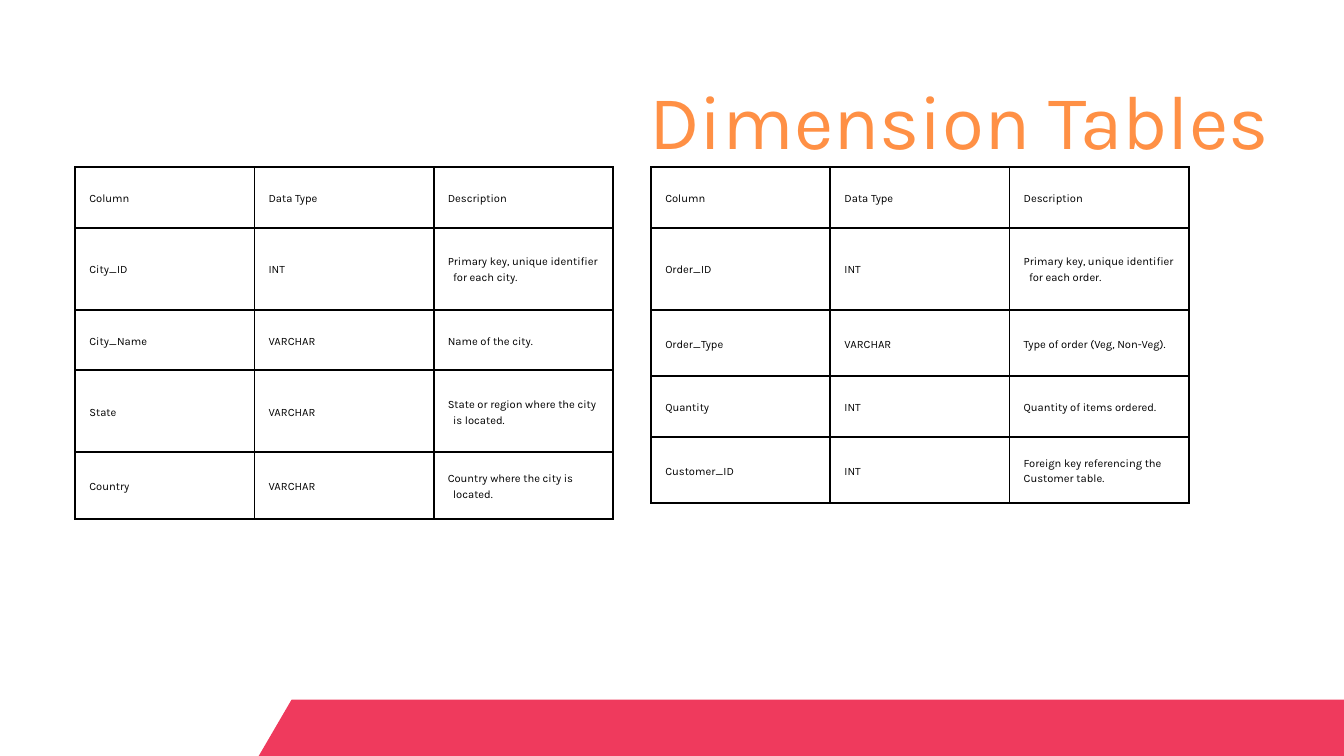
from lxml.etree import SubElement
from pptx import Presentation
from pptx.dml.color import RGBColor
from pptx.enum.text import MSO_ANCHOR as Anchor, PP_ALIGN as Align
from pptx.oxml.ns import qn
from pptx.util import Inches, Pt

HEAD = ("Column", "Data Type", "Description")
CITY = [
    (0.9, HEAD),
    (1.22, ("City_ID", "INT", "Primary key, unique identifier\nfor each city.")),
    (0.9, ("City_Name", "VARCHAR", "Name of the city.")),
    (1.22, ("State", "VARCHAR", "State or region where the city\nis located.")),
    (0.99, ("Country", "VARCHAR", "Country where the city is\nlocated.")),
]
ORDER = [
    (0.9, HEAD),
    (1.22, ("Order_ID", "INT", "Primary key, unique identifier\nfor each order.")),
    (0.99, ("Order_Type", "VARCHAR", "Type of order (Veg, Non-Veg).")),
    (0.9, ("Quantity", "INT", "Quantity of items ordered.")),
    (0.99, ("Customer_ID", "INT", "Foreign key referencing the Customer table.")),
]


def color(code):
    return RGBColor.from_string(code)


def write(frame, text, size=12, lead=16.8, tint="000000", align=Align.LEFT):
    frame.word_wrap = True
    for i, line in enumerate(text.split("\n")):
        para = frame.paragraphs[0] if i == 0 else frame.add_paragraph()
        if i:
            para._p.get_or_add_pPr().set("marL", str(Inches(0.08)))
        para.alignment = align
        para.line_spacing = Pt(lead)
        run = para.add_run()
        run.text = line
        run.font.name = "Karla"
        run.font.size = Pt(size)
        run.font.color.rgb = color(tint)


def border(cell, width=2.25, tint="000000"):
    props = cell._tc.get_or_add_tcPr()
    for side in ("a:lnL", "a:lnR", "a:lnT", "a:lnB"):
        edge = SubElement(props, qn(side), w=str(Pt(width)))
        fill = SubElement(edge, qn("a:solidFill"))
        SubElement(fill, qn("a:srgbClr"), val=tint)


def grid(slide, left, top, width, rows):
    height = sum(tall for tall, _ in rows)
    count = len(HEAD)
    table = slide.shapes.add_table(
        len(rows), count, Inches(left), Inches(top), Inches(width), Inches(height)
    ).table
    table.first_row = table.horz_banding = False
    for col in table.columns:
        col.width = Inches(width / count)
    for r, (tall, texts) in enumerate(rows):
        table.rows[r].height = Inches(tall)
        for c, text in enumerate(texts):
            cell = table.cell(r, c)
            cell.margin_left = cell.margin_right = Inches(0.21)
            cell.margin_top = cell.margin_bottom = Inches(0.21)
            cell.vertical_anchor = Anchor.MIDDLE
            border(cell)
            cell.fill.background()
            write(cell.text_frame, text)


def band(slide, left, top, width, height):
    slant = 0.49
    right, mid, low = left + width, top + height / 2, top + height
    spots = [
        (right - slant, top), (left + slant, top), (left, mid),
        (left + slant, low), (right - slant, low), (right, mid),
    ]
    ends = [(Inches(x), Inches(y)) for x, y in spots]
    form = slide.shapes.build_freeform(*ends[0])
    form.add_line_segments(ends[1:], close=True)
    shape = form.convert_to_shape()
    shape.shadow.inherit = False
    shape.fill.solid()
    shape.fill.fore_color.rgb = color("EF3A5D")
    shape.line.fill.background()


def title(slide, left, top, width, height):
    box = slide.shapes.add_textbox(
        Inches(left), Inches(top), Inches(width), Inches(height)
    )
    frame = box.text_frame
    frame.margin_left = frame.margin_right = 0
    frame.margin_top = frame.margin_bottom = 0
    write(frame, "Dimension Tables", size=82, lead=90.2, tint="FF9045",
          align=Align.RIGHT)


def main():
    deck = Presentation()
    deck.slide_width, deck.slide_height = Inches(20), Inches(11.25)
    slide = deck.slides.add_slide(deck.slide_layouts[6])
    band(slide, 3.85, 10.41, 16.68, 1.68)
    grid(slide, 1.12, 2.49, 8, CITY)
    grid(slide, 9.69, 2.49, 8, ORDER)
    title(slide, 8.51, 1.2, 10.37, 1.29)
    deck.save("out.pptx")


if __name__ == "__main__":
    main()
